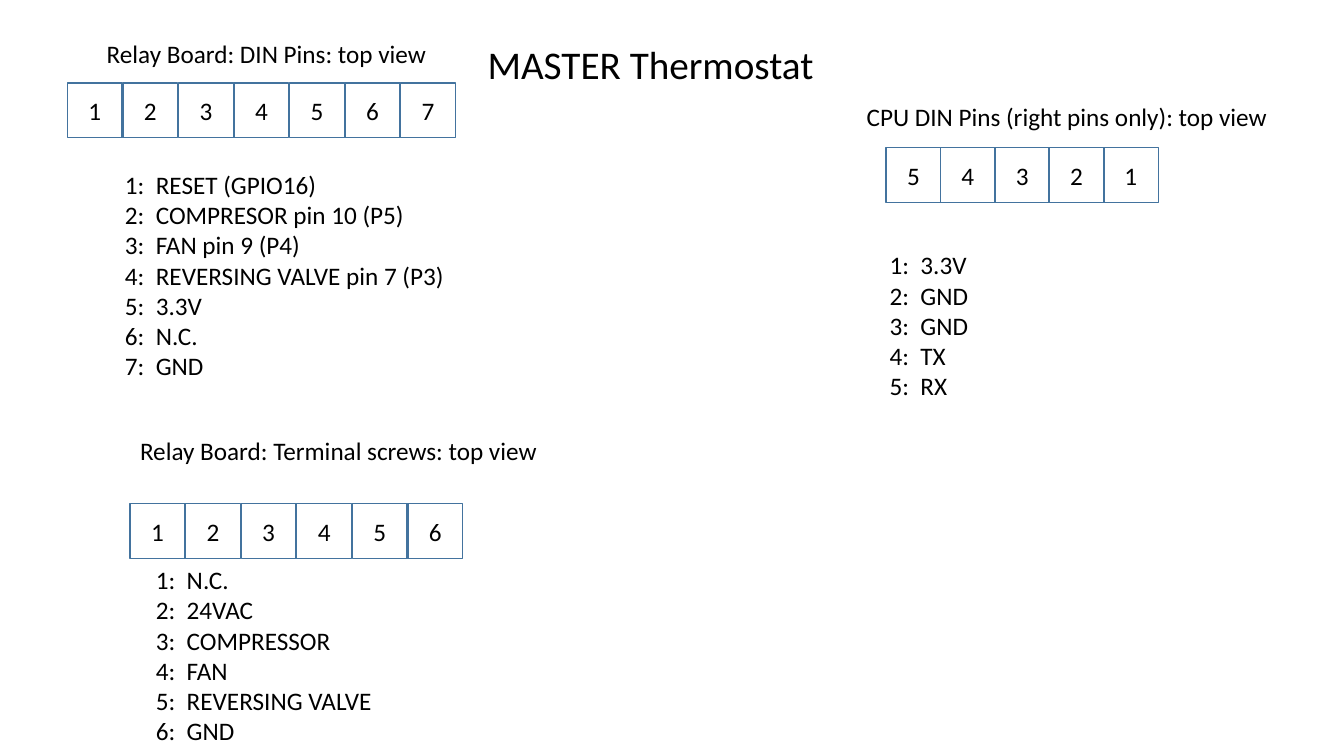
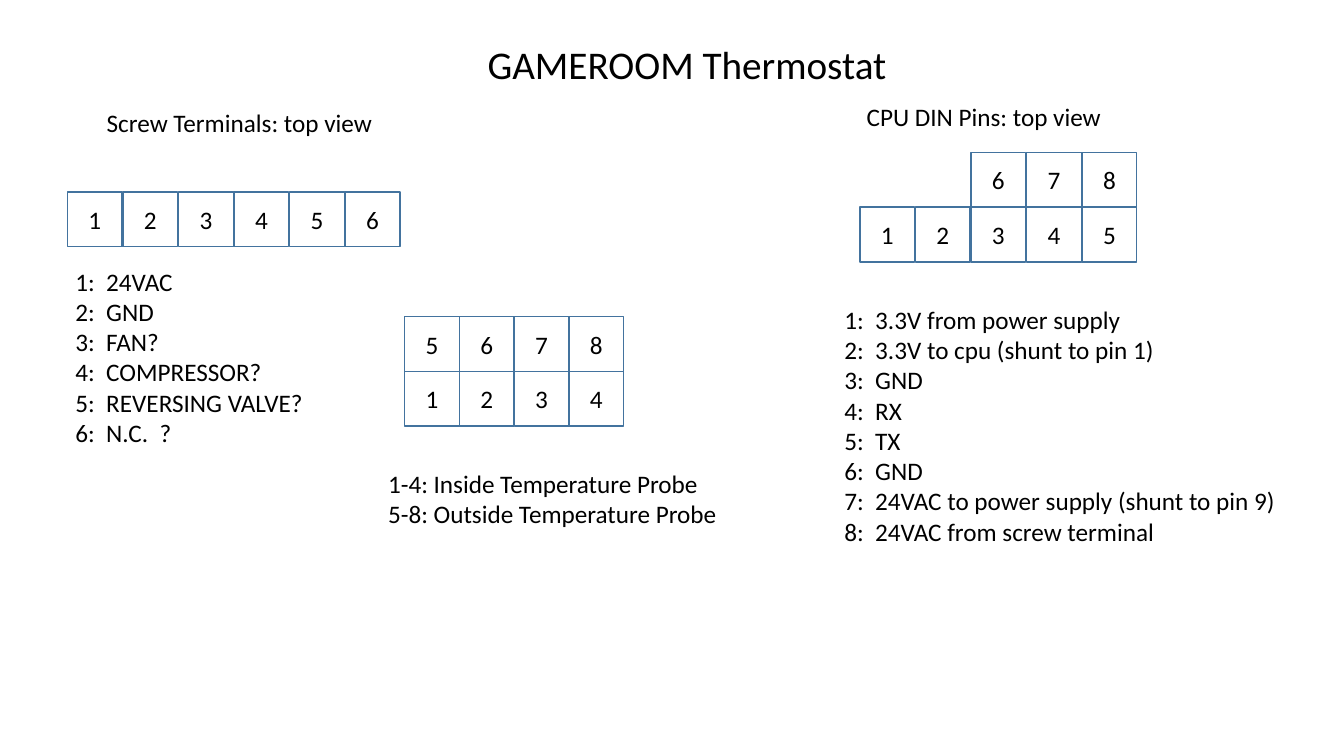
from pptx import Presentation
from pptx import util as u
from pptx.dml.color import RGBColor
from pptx.enum import shapes, text

BLACK = RGBColor(0x00, 0x00, 0x00)
PIN_BLUE = RGBColor(0x43, 0x73, 0x9E)
FONT = "Calibri"
BODY_SIZE, TITLE_SIZE = 18, 28
PIN_SIZE = 1.38
WIDE_PITCH = 1.4


def style_paragraph(paragraph, size=BODY_SIZE):
    """Apply the shared font to a paragraph."""
    paragraph.font.name = FONT
    paragraph.font.size = u.Pt(size)
    paragraph.font.color.rgb = BLACK


def add_text(slide, left, top, width, lines, size=BODY_SIZE):
    """Add an unwrapped text box with one paragraph per line; lengths in cm."""
    height = 0.25 + len(lines) * size * 0.043
    box = slide.shapes.add_textbox(u.Cm(left), u.Cm(top), u.Cm(width), u.Cm(height))
    frame = box.text_frame
    frame.word_wrap = False
    frame.auto_size = text.MSO_AUTO_SIZE.SHAPE_TO_FIT_TEXT
    frame.text = "\n".join(lines)
    for paragraph in frame.paragraphs:
        style_paragraph(paragraph, size)


def add_title(slide, title, width):
    """Add the slide title at its shared position."""
    add_text(slide, 12.04, 0.89, width, [title], TITLE_SIZE)


def add_pin_list(slide, left, top, width, names):
    """Add a list of pin names numbered from 1."""
    lines = [f"{number}:  {name}" for number, name in enumerate(names, 1)]
    add_text(slide, left, top, width, lines)


def add_pin(slide, left, top, label):
    """Add one outlined square holding a pin number."""
    shape = slide.shapes.add_shape(shapes.MSO_SHAPE.RECTANGLE, u.Cm(left), u.Cm(top),
                                   u.Cm(PIN_SIZE), u.Cm(PIN_SIZE))
    shape.shadow.inherit = False
    shape.fill.background()
    shape.line.color.rgb = PIN_BLUE
    shape.line.width = u.Pt(1)
    frame = shape.text_frame
    frame.vertical_anchor = text.MSO_ANCHOR.MIDDLE
    frame.text = label
    paragraph = frame.paragraphs[0]
    paragraph.alignment = text.PP_ALIGN.CENTER
    style_paragraph(paragraph)


def add_pin_grid(slide, left, top, rows, pitch=WIDE_PITCH):
    """Add rows of pins, one per character; a dot leaves its place empty."""
    for row_index, row in enumerate(rows):
        for column, label in enumerate(row):
            if label != ".":
                add_pin(slide, left + column * pitch, top + row_index * PIN_SIZE, label)


def build_master(slide):
    """Lay out the master thermostat wiring."""
    add_title(slide, "MASTER Thermostat", 8.81)

    add_text(slide, 2.44, 0.84, 8.66, ["Relay Board: DIN Pins: top view"])
    add_pin_grid(slide, 1.7, 2.09, ["1234567"])
    add_pin_list(slide, 2.9, 4.14, 8.79, [
        "RESET (GPIO16)", "COMPRESOR pin 10 (P5)", "FAN pin 9 (P4)",
        "REVERSING VALVE pin 7 (P3)", "3.3V", "N.C.", "GND"])

    add_text(slide, 3.28, 10.85, 10.62, ["Relay Board: Terminal screws: top view"])
    add_pin_grid(slide, 3.28, 12.69, ["123456"])
    add_pin_list(slide, 3.68, 14.1, 6.02, [
        "N.C.", "24VAC", "COMPRESSOR", "FAN", "REVERSING VALVE", "GND"])

    add_text(slide, 21.59, 2.44, 10.72, ["CPU DIN Pins (right pins only): top view"])
    add_pin_grid(slide, 22.33, 3.72, ["54321"], pitch=1.37)
    add_pin_list(slide, 22.17, 6.17, 2.62, ["3.3V", "GND", "GND", "TX", "RX"])


def build_gameroom(slide):
    """Lay out the game room thermostat wiring."""
    add_title(slide, "GAMEROOM Thermostat", 10.67)

    add_text(slide, 2.44, 2.57, 7.29, ["Screw Terminals: top view"])
    add_pin_grid(slide, 1.7, 4.84, ["123456"])
    add_pin_list(slide, 1.65, 6.58, 6.3, [
        "24VAC", "GND", "FAN?", "COMPRESSOR?", "REVERSING VALVE?", "N.C.  ?"])

    add_pin_grid(slide, 10.2, 7.98, ["5678", "1234"], pitch=1.38)
    add_text(slide, 9.53, 11.68, 8.89, [
        "1-4: Inside Temperature Probe", "5-8: Outside Temperature Probe"])

    add_text(slide, 21.59, 2.44, 6.48, ["CPU DIN Pins: top view"])
    add_pin_grid(slide, 21.67, 3.84, ["..678", "12345"])
    add_pin_list(slide, 21.03, 7.54, 11.51, [
        "3.3V from power supply", "3.3V to cpu (shunt to pin 1)", "GND", "RX", "TX",
        "GND", "24VAC to power supply (shunt to pin 9)", "24VAC from screw terminal"])


def main():
    """Build and save the presentation."""
    presentation = Presentation()
    presentation.slide_width = u.Cm(33.87)
    presentation.slide_height = u.Cm(19.05)
    blank_layout = presentation.slide_layouts[6]
    for build in (build_master, build_gameroom):
        build(presentation.slides.add_slide(blank_layout))
    presentation.save("out.pptx")


main()
